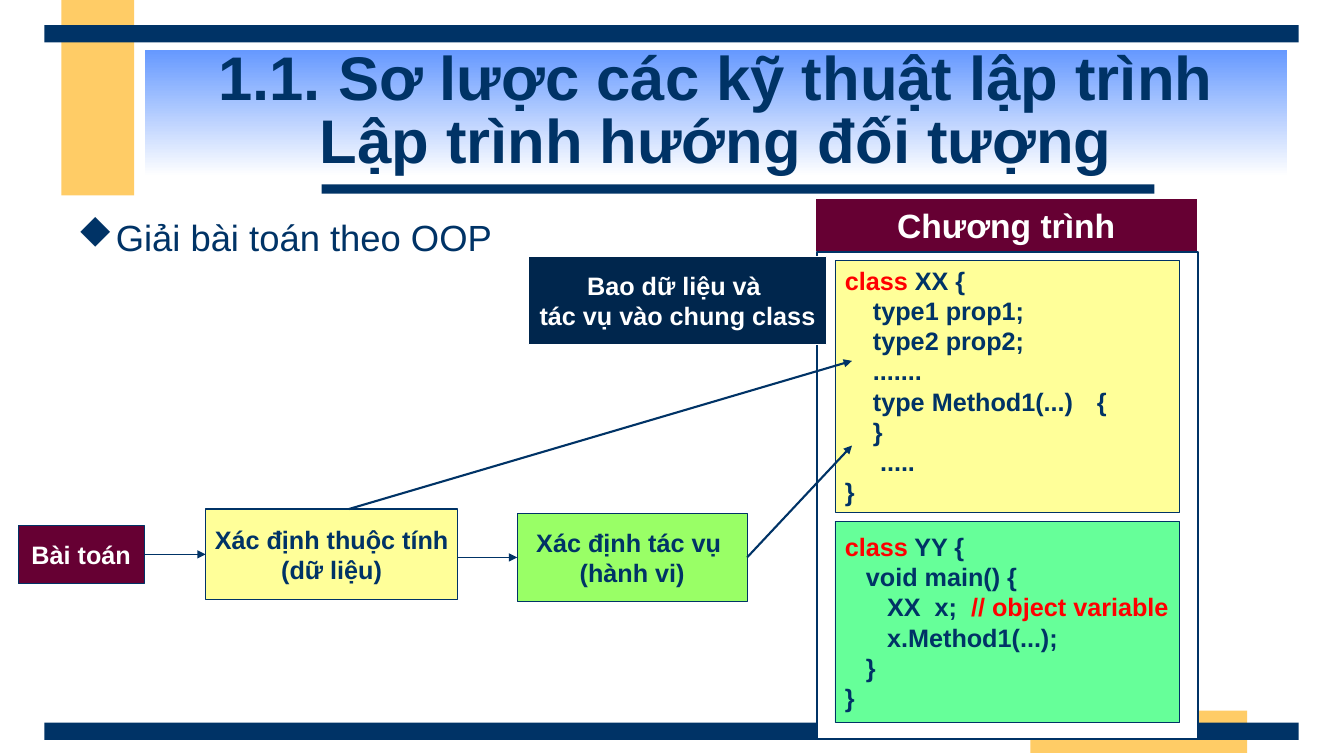
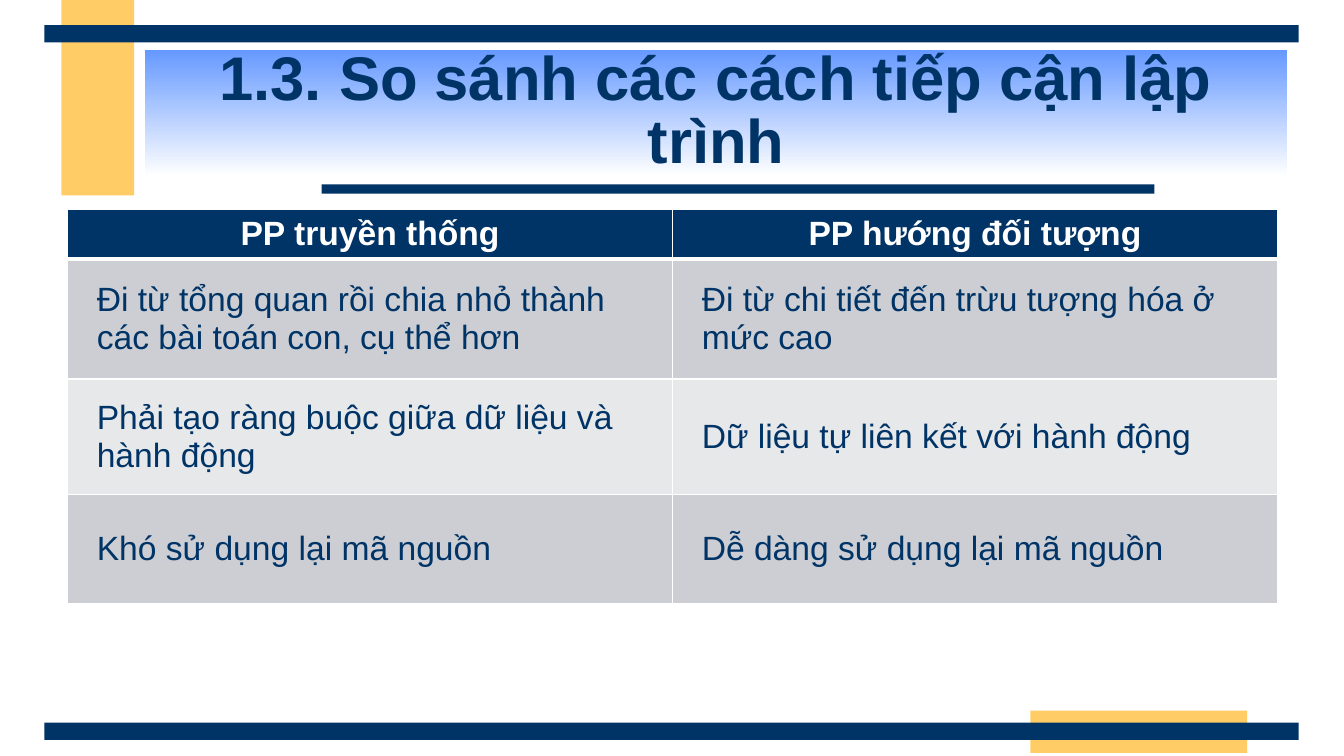
from lxml import etree
from pptx import Presentation
from pptx import util as u
from pptx.dml.color import RGBColor
from pptx.enum import shapes, text
from pptx.oxml import ns

PX = 9144
FONT = "Arial"
NAVY = RGBColor(0x00, 0x33, 0x66)
DEEP_NAVY = RGBColor(0x00, 0x26, 0x4D)
GOLD = RGBColor(0xFF, 0xCC, 0x66)
SKY = RGBColor(0x66, 0x99, 0xFF)
WINE = RGBColor(0x66, 0x00, 0x33)
YELLOW = RGBColor(0xFF, 0xFF, 0x99)
LIME = RGBColor(0x99, 0xFF, 0x66)
MINT = RGBColor(0x66, 0xFF, 0x99)
RED = RGBColor(0xFF, 0x00, 0x00)
WHITE = RGBColor(0xFF, 0xFF, 0xFF)
GREY = RGBColor(0xCC, 0xCE, 0xD3)
PALE_GREY = RGBColor(0xE7, 0xE8, 0xEA)
CENTER = text.PP_ALIGN.CENTER
LEFT = text.PP_ALIGN.LEFT
MIDDLE = text.MSO_ANCHOR.MIDDLE
TOP = text.MSO_ANCHOR.TOP

BANDS = [
    (61, 0, 72, 194, GOLD),
    (1022, 705, 215, 42, GOLD),
    (319, 183, 826, 9, NAVY),
    (44, 717, 1244, 17, NAVY),
    (44, 25, 1244, 17, NAVY),
]


def write(frame, lines, size=18, color=NAVY, bold=True, align=CENTER,
          anchor=MIDDLE, wrap=False, spacing=None, margin=0, bullet=None):
    frame.word_wrap = wrap
    frame.vertical_anchor = anchor
    for index, line in enumerate(lines):
        indent, *spans = (0, line) if isinstance(line, str) else line
        para = frame.paragraphs[0] if index == 0 else frame.add_paragraph()
        para.alignment = align
        para.line_spacing = spacing
        settings = para._p.get_or_add_pPr()
        settings.set("marL", str(margin * PX))
        settings.set("indent", str(indent * PX))
        if bullet:
            typeface, mark = bullet
            etree.SubElement(settings, ns.qn("a:buFont"), typeface=typeface,
                             pitchFamily="2", charset="2")
            etree.SubElement(settings, ns.qn("a:buChar"), char=mark)
        for piece in spans:
            words, tint = (piece, color) if isinstance(piece, str) else piece
            if "\t" in words:
                tabs = etree.SubElement(settings, ns.qn("a:tabLst"))
                etree.SubElement(tabs, ns.qn("a:tab"), pos=str(257 * PX), algn="l")
            span = para.add_run()
            span.text = words
            span.font.name = FONT
            span.font.size = u.Pt(size)
            span.font.bold = bold
            span.font.color.rgb = tint


def add_box(page, left, top, width, height, fill, line=None, weight=0.75):
    box = page.shapes.add_shape(shapes.MSO_SHAPE.RECTANGLE,
                                left * PX, top * PX, width * PX, height * PX)
    box.shadow.inherit = False
    box.fill.solid()
    box.fill.fore_color.rgb = fill
    if line is None:
        box.line.fill.background()
    else:
        box.line.color.rgb = line
        box.line.width = u.Pt(weight)
    return box


deck = Presentation()
deck.slide_width = 1333 * PX
deck.slide_height = 750 * PX

TITLES = [
    ["1.1. Sơ lược các kỹ thuật lập trình", "Lập trình hướng đối tượng"],
    ["1.3. So sánh các cách tiếp cận lập trình"],
]
for title in TITLES:
    page = deck.slides.add_slide(deck.slide_layouts[6])
    for band in BANDS:
        add_box(page, *band)
    banner = add_box(page, 144, 50, 1133, 125, SKY)
    banner.fill.gradient()
    banner.fill.gradient_angle = 270
    for stop, color in zip(banner.fill.gradient_stops, (SKY, WHITE)):
        stop.color.rgb = color
    write(banner.text_frame, title, size=44, wrap=True, spacing=0.85)

diagram_page, table_page = deck.slides

heading = diagram_page.shapes.add_textbox(67 * PX, 208 * PX, 700 * PX, 52 * PX)
write(heading.text_frame, [(-38, "Giải bài toán theo OOP")], size=26, bold=False,
      align=LEFT, anchor=TOP, wrap=True, margin=38, bullet=("Wingdings", "u"))

problem = add_box(diagram_page, 18, 521, 125, 58, WINE, NAVY)
write(problem.text_frame, ["Bài toán"], color=WHITE)
attributes = add_box(diagram_page, 204, 505, 250, 90, YELLOW, NAVY)
write(attributes.text_frame, ["Xác định thuộc tính", "(dữ liệu)"])
tasks = add_box(diagram_page, 513, 509, 228, 88, LIME, NAVY)
write(tasks.text_frame, ["Xác định tác vụ ", "(hành vi)"])
program = add_box(diagram_page, 808, 196, 380, 54, WINE, WHITE, 1.5)
write(program.text_frame, ["Chương trình"], size=24, color=WHITE)
add_box(diagram_page, 810, 250, 378, 483, WHITE, NAVY, 1.5)

CLASS_XX = [
    (0, ("class", RED), " XX {"),
    (28, "type1 prop1;"),
    (28, "type2 prop2;"),
    (28, "......."),
    (28, "type Method1(...)\t{"),
    (28, "}"),
    (35, "....."),
    "}",
]
CLASS_YY = [
    (0, ("class", RED), " YY {"),
    (21, "void main() {"),
    (42, "XX  x;  ", ("// object variable", RED)),
    (42, "x.Method1(...);"),
    (21, "}"),
    "}",
]
for top, height, fill, code in ((258, 250, YELLOW, CLASS_XX), (517, 200, MINT, CLASS_YY)):
    listing = add_box(diagram_page, 828, top, 342, height, fill, NAVY, 0.25)
    write(listing.text_frame, code, align=LEFT)

ARROWS = [
    ((143, 550), (204, 550), problem, attributes, 0.75),
    ((454, 553), (513, 553), None, tasks, 0.75),
    ((741, 553), (845, 442), tasks, None, 1.5),
    ((346, 505), (845, 358), None, None, 1.5),
]
for start, end, source, target, weight in ARROWS:
    arrow = diagram_page.shapes.add_connector(
        shapes.MSO_CONNECTOR.STRAIGHT, *(value * PX for value in start + end))
    if source is not None:
        arrow.begin_connect(source, 3)
    if target is not None:
        arrow.end_connect(target, 1)
    arrow.line.color.rgb = NAVY
    arrow.line.width = u.Pt(weight)
    etree.SubElement(arrow.line._get_or_add_ln(), ns.qn("a:tailEnd"), type="triangle")
    etree.SubElement(arrow._element.spPr, ns.qn("a:effectLst"))

callout = add_box(diagram_page, 524, 254, 296, 88, DEEP_NAVY, WHITE)
write(callout.text_frame, ["Bao dữ liệu và ", "tác vụ vào chung class"], color=WHITE)

ROWS = [
    (49, NAVY, "PP truyền thống", "PP hướng đối tượng"),
    (119, GREY, "Đi từ tổng quan rồi chia nhỏ thành các bài toán con, cụ thể hơn",
     "Đi từ chi tiết đến trừu tượng hóa ở mức cao"),
    (115, PALE_GREY, "Phải tạo ràng buộc giữa dữ liệu và hành động",
     "Dữ liệu tự liên kết với hành động"),
    (108, GREY, "Khó sử dụng lại mã nguồn", "Dễ dàng sử dụng lại mã nguồn"),
]
HEADER = dict(color=WHITE, bold=True, align=CENTER, anchor=TOP)
BODY = dict(bold=False, align=LEFT, margin=19)
total = sum(row[0] for row in ROWS)
table = table_page.shapes.add_table(
    len(ROWS), 2, 67 * PX, 208 * PX, 1200 * PX, total * PX).table
for index, (height, fill, *entries) in enumerate(ROWS):
    table.rows[index].height = height * PX
    for column, entry in enumerate(entries):
        cell = table.cell(index, column)
        cell.fill.solid()
        cell.fill.fore_color.rgb = fill
        style = HEADER if index == 0 else BODY
        write(cell.text_frame, [entry], size=24, wrap=True, **style)
        cell.vertical_anchor = style.get("anchor", MIDDLE)
        settings = cell._tc.get_or_add_tcPr()
        for order, edge in enumerate(("lnL", "lnR", "lnT", "lnB")):
            thick = (index, edge) in ((0, "lnB"), (1, "lnT"))
            border = etree.Element(ns.qn("a:" + edge), w=str(u.Pt(3 if thick else 1)))
            paint = etree.SubElement(border, ns.qn("a:solidFill"))
            etree.SubElement(paint, ns.qn("a:srgbClr"), val=str(WHITE))
            settings.insert(order, border)

deck.save("out.pptx")
